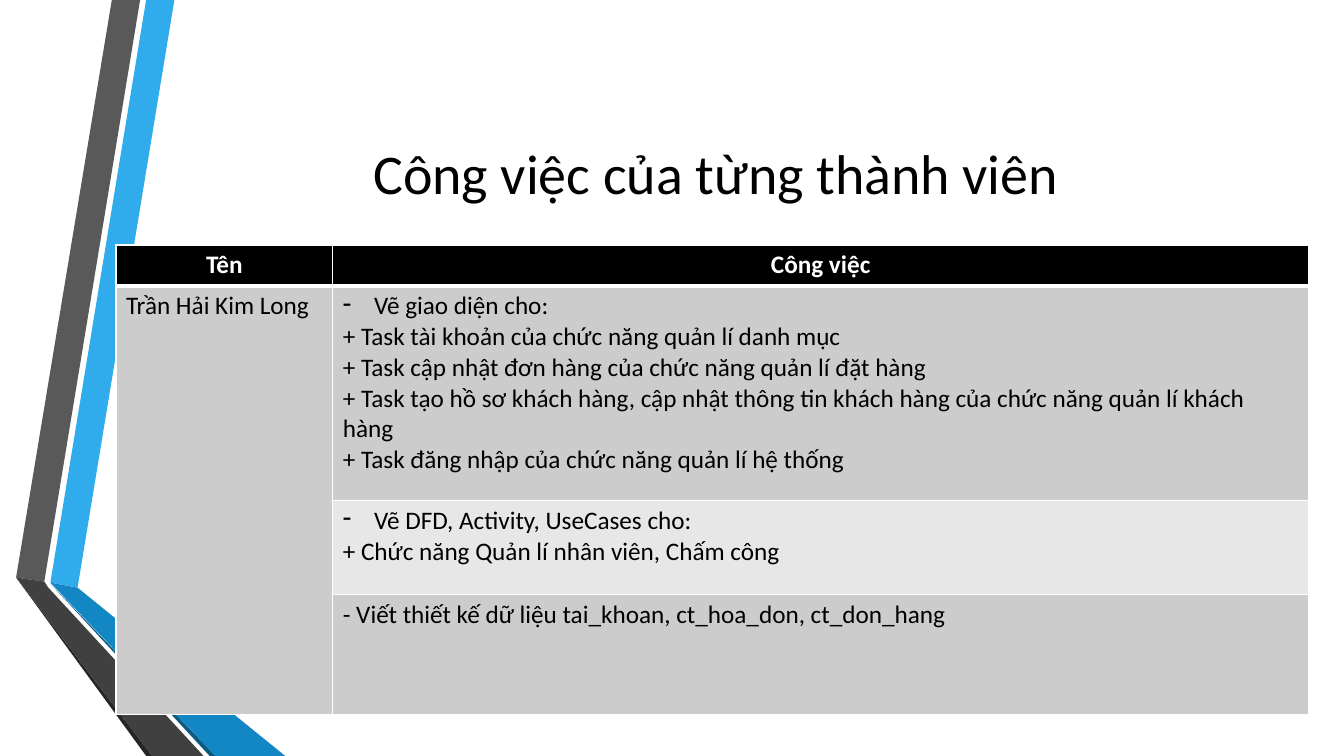
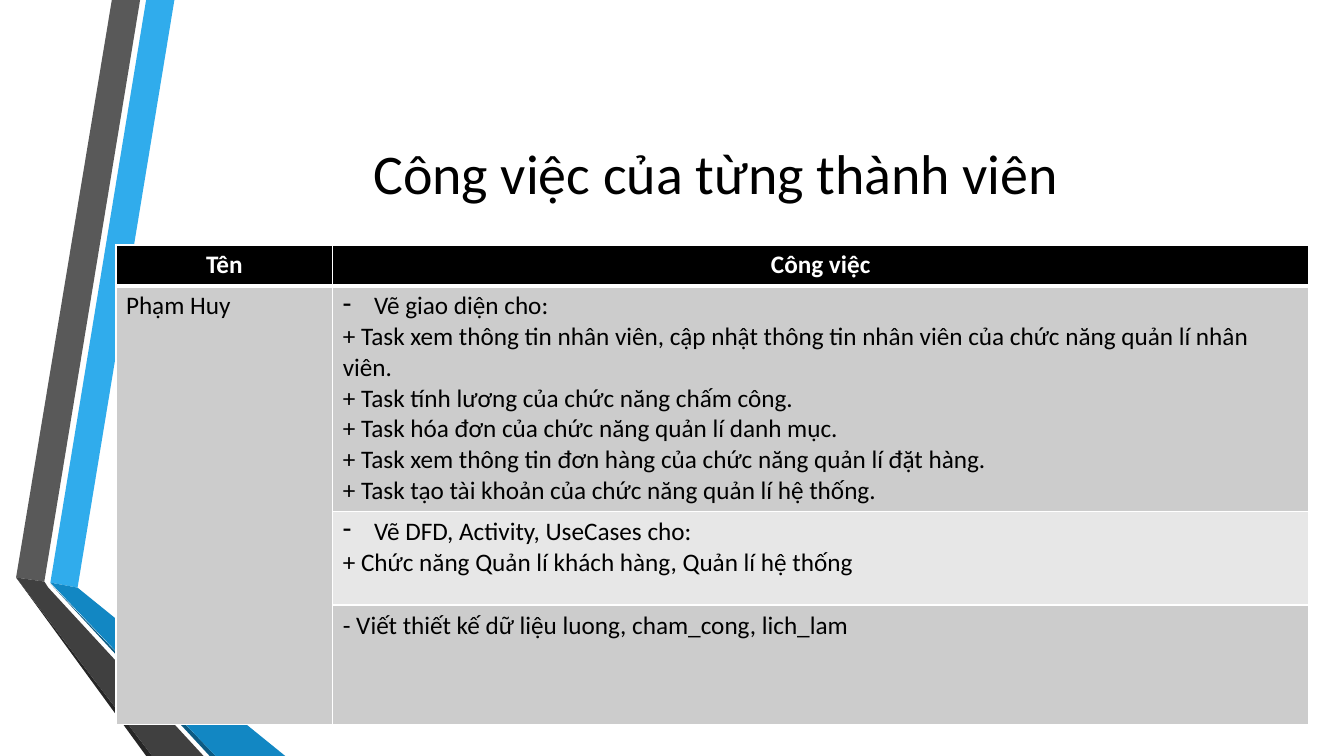
"""Build two slides that list the work of each team member."""
from dataclasses import dataclass

from pptx import Presentation
from pptx.dml.color import RGBColor
from pptx.enum import text
from pptx.oxml import ns, xmlchemy
from pptx.util import Inches, Pt


@dataclass(frozen=True)
class Theme:
    """Hold the colours, font and type sizes of the deck."""
    font: str = "Calibri"
    title_size: int = 40
    table_size: int = 18
    ink: str = "000000"
    paper: str = "FFFFFF"
    bands: tuple = ("CCCCCC", "E7E7E7")
    blue: str = "30ACEC"
    blue_fold: str = "1287C3"
    blue_edge: str = "0C5A82"
    grey: str = "595959"
    grey_fold: str = "404040"
    grey_edge: str = "262626"


THEME = Theme()
TITLE = "Công việc của từng thành viên"
HEADINGS = ("Tên", "Công việc")
COLUMN_WIDTHS = (2.15, 9.68)
ROW_HEIGHTS = (0.4, 2.13, 0.93, 1.19)
RIBBONS = (
    (THEME.blue, ((0.5, 5.78), (0.77, 5.83), (1.73, 0), (1.45, 0))),
    (THEME.grey, ((1.39, 0), (1.11, 0), (0.16, 5.73), (0.44, 5.77))),
    (THEME.grey_edge, ((0.16, 5.73), (1.45, 7.5), (1.51, 7.5))),
    (THEME.blue_edge, ((0.5, 5.79), (2.08, 7.5), (2.14, 7.5))),
    (THEME.blue_fold, ((0.5, 5.78), (2.14, 7.5), (2.83, 7.5), (0.77, 5.83))),
    (THEME.grey_fold, ((2.02, 7.5), (0.48, 5.83), (0.44, 5.77), (0.16, 5.73), (1.51, 7.5))),
)
MEMBERS = (
    ("Trần Hải Kim Long", (
        ("Vẽ giao diện cho:",
         "+ Task tài khoản của chức năng quản lí danh mục",
         "+ Task cập nhật đơn hàng của chức năng quản lí đặt hàng",
         "+ Task tạo hồ sơ khách hàng, cập nhật thông tin khách hàng của chức năng quản lí khách hàng",
         "+ Task đăng nhập của chức năng quản lí hệ thống"),
        ("Vẽ DFD, Activity, UseCases cho:",
         "+ Chức năng Quản lí nhân viên, Chấm công"),
        ("- Viết thiết kế dữ liệu tai_khoan, ct_hoa_don, ct_don_hang",),
    )),
    ("Phạm Huy", (
        ("Vẽ giao diện cho:",
         "+ Task xem thông tin nhân viên, cập nhật thông tin nhân viên của chức năng quản lí nhân viên.",
         "+ Task tính lương của chức năng chấm công.",
         "+ Task hóa đơn của chức năng quản lí danh mục.",
         "+ Task xem thông tin đơn hàng của chức năng quản lí đặt hàng.",
         "+ Task tạo tài khoản của chức năng quản lí hệ thống."),
        ("Vẽ DFD, Activity, UseCases cho:",
         "+ Chức năng Quản lí khách hàng, Quản lí hệ thống"),
        ("- Viết thiết kế dữ liệu luong, cham_cong, lich_lam",),
    )),
)


def paint(fill, colour):
    """Give a fill one solid colour."""
    fill.solid()
    fill.fore_color.rgb = RGBColor.from_string(colour)


def style_paragraph(paragraph, size, colour, bold=False, centred=False):
    """Set the font and alignment of a paragraph."""
    font = paragraph.font
    font.name, font.size, font.bold = THEME.font, Pt(size), bold
    font.color.rgb = RGBColor.from_string(colour)
    paragraph.alignment = text.PP_ALIGN.CENTER if centred else text.PP_ALIGN.LEFT


def add_dash(paragraph):
    """Give a paragraph a hanging dash bullet."""
    properties = paragraph._p.get_or_add_pPr()
    indent = Inches(0.31)
    properties.set("marL", str(indent))
    properties.set("indent", str(-indent))
    bullet = xmlchemy.OxmlElement("a:buChar")
    bullet.set("char", "-")
    properties.insert(0, bullet)


def add_border(cell, side, width):
    """Draw one white border of a cell."""
    line = xmlchemy.OxmlElement(f"a:ln{side}")
    line.set("w", str(Pt(width)))
    solid = xmlchemy.OxmlElement("a:solidFill")
    colour = xmlchemy.OxmlElement("a:srgbClr")
    colour.set("val", THEME.paper)
    solid.append(colour)
    line.append(solid)
    cell._tc.get_or_add_tcPr().append(line)


def add_ribbons(slide, layout):
    """Draw the folded ribbons and move them to the shared layout."""
    for colour, corners in RIBBONS:
        points = [(Inches(x), Inches(y)) for x, y in corners]
        builder = slide.shapes.build_freeform(*points[0])
        builder.add_line_segments(points[1:], close=True)
        shape = builder.convert_to_shape()
        shape.shadow.inherit = False
        paint(shape.fill, colour)
        shape.line.fill.background()
        layout.shapes.element.append(shape.element)
    for number, properties in enumerate(layout.shapes.element.iter(ns.qn("p:cNvPr")), 1):
        properties.set("id", str(number))


def set_title(slide):
    """Place and format the slide title."""
    title = slide.shapes.title
    title.left, title.top = Inches(1.62), Inches(0.75)
    title.width, title.height = Inches(10.96), Inches(1.92)
    title.text_frame.text = TITLE
    title.text_frame.vertical_anchor = text.MSO_ANCHOR.MIDDLE
    style_paragraph(title.text_frame.paragraphs[0], THEME.title_size, THEME.ink, centred=True)


def fill_cell(cell, row, lines):
    """Write and format one table cell."""
    header = row == 0
    widths = {"L": 1, "R": 1, "T": 3 if row == 1 else 1, "B": 3 if header else 1}
    for side, width in widths.items():
        add_border(cell, side, width)
    paint(cell.fill, THEME.ink if header else THEME.bands[(row - 1) % 2])
    if not lines:
        return
    cell.text = "\n".join(lines)
    for paragraph in cell.text_frame.paragraphs:
        style_paragraph(paragraph, THEME.table_size, THEME.paper if header else THEME.ink,
                        bold=header, centred=header)
    if len(lines) > 1:
        add_dash(cell.text_frame.paragraphs[0])


def add_work_table(slide, name, tasks):
    """Add the table of one member's tasks."""
    frame = slide.shapes.add_table(len(ROW_HEIGHTS), len(COLUMN_WIDTHS), Inches(1.15), Inches(2.43),
                                   Inches(sum(COLUMN_WIDTHS)), Inches(sum(ROW_HEIGHTS)))
    table = frame.table
    for column, width in zip(table.columns, COLUMN_WIDTHS):
        column.width = Inches(width)
    for row, height in zip(table.rows, ROW_HEIGHTS):
        row.height = Inches(height)
    table.cell(1, 0).merge(table.cell(len(tasks), 0))
    names = [(HEADINGS[0],), (name,)] + [()] * (len(tasks) - 1)
    work = [(HEADINGS[1],), *tasks]
    for row, contents in enumerate(zip(names, work)):
        for column, lines in enumerate(contents):
            fill_cell(table.cell(row, column), row, lines)


def main():
    """Build and save the presentation."""
    presentation = Presentation()
    presentation.slide_width, presentation.slide_height = Inches(13.33), Inches(7.5)
    layout = presentation.slide_layouts.get_by_name("Title Only")
    slides = [presentation.slides.add_slide(layout) for _ in MEMBERS]
    add_ribbons(slides[0], layout)
    for slide, (name, tasks) in zip(slides, MEMBERS):
        set_title(slide)
        add_work_table(slide, name, tasks)
    presentation.save("out.pptx")


main()
